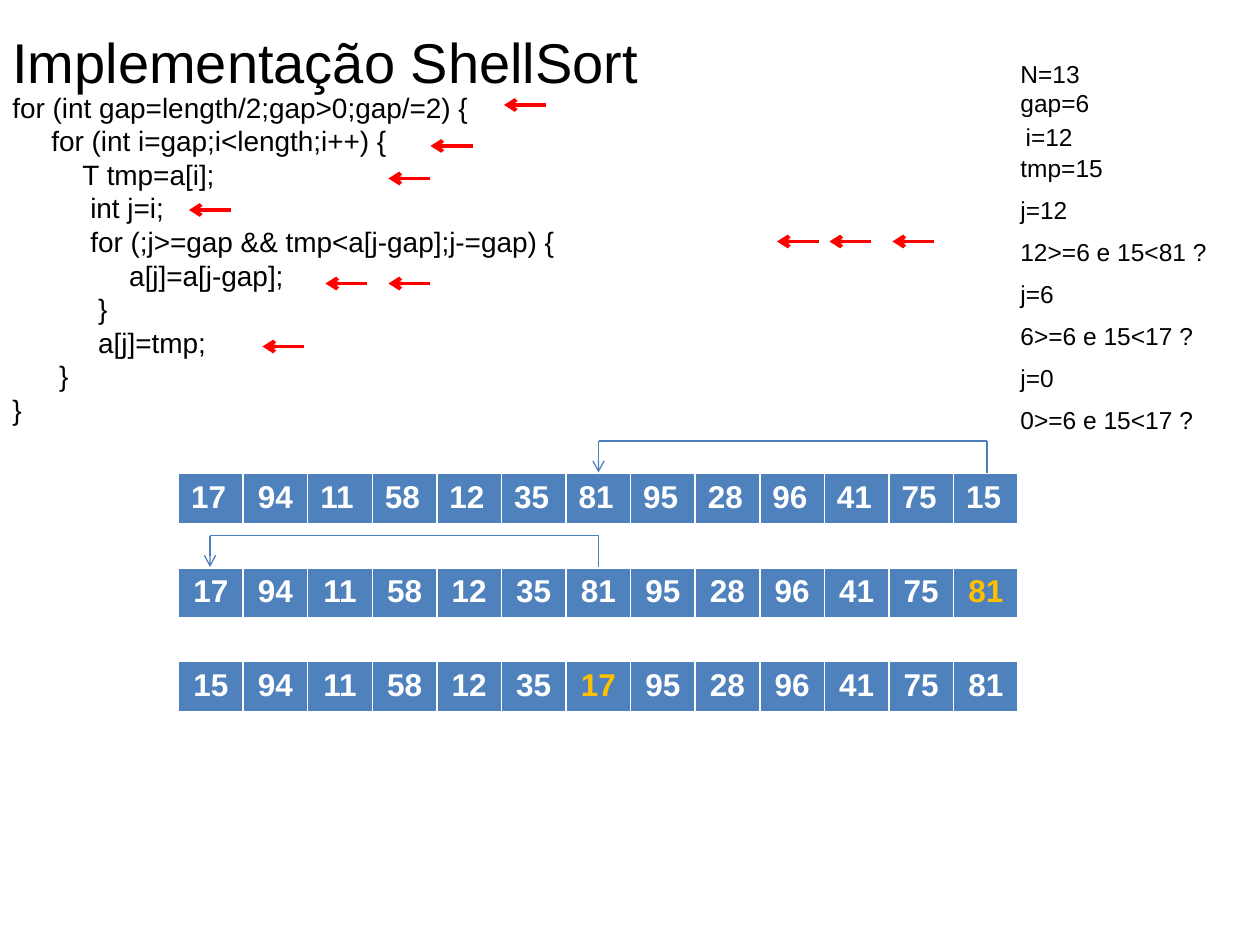
from dataclasses import dataclass

from lxml import etree
from pptx import Presentation
from pptx.dml.color import RGBColor
from pptx.enum.shapes import MSO_CONNECTOR
from pptx.enum.text import MSO_ANCHOR, MSO_AUTO_SIZE, PP_ALIGN
from pptx.oxml.ns import qn
from pptx.util import Inches, Pt

STRAIGHT = MSO_CONNECTOR.STRAIGHT
LEFT, CENTER = PP_ALIGN.LEFT, PP_ALIGN.CENTER
TOP = MSO_ANCHOR.TOP
FIT_SHAPE, FIT_NONE = MSO_AUTO_SIZE.SHAPE_TO_FIT_TEXT, MSO_AUTO_SIZE.NONE
COLUMNS, ROWS = 120, 90
BLANK_LAYOUT = 6


@dataclass(frozen=True)
class Theme:
    font: str = "Arial"
    ink: str = "000000"
    white: str = "FFFFFF"
    cell: str = "4F81BD"
    moved: str = "FFC000"
    pointer: str = "FF0000"
    bracket: str = "4B7EBC"
    title_size: float = 32
    code_size: float = 16
    note_size: float = 14
    cell_size: float = 18
    pointer_width: float = 2.25
    bracket_width: float = 0.75
    code_step: float = 4.45  # points of indent per character


class SlideBuilder:
    """Places elements on a grid of 120 columns by 90 rows."""

    def __init__(self, deck, theme):
        self.theme = theme
        self.page = deck.slides.add_slide(deck.slide_layouts[BLANK_LAYOUT])
        self.column = deck.slide_width / COLUMNS
        self.row = deck.slide_height / ROWS

    def place(self, x, y):
        return round(x * self.column), round(y * self.row)

    def style_runs(self, para, size, color, bold=False):
        for span in para.runs:
            span.font.name = self.theme.font
            span.font.size = Pt(size)
            span.font.bold = bold
            span.font.color.rgb = RGBColor.from_string(color)

    def text(self, x, y, width, height, lines, size, wrap=False):
        """Adds a text box and returns its paragraphs."""
        box = self.page.shapes.add_textbox(*self.place(x, y), *self.place(width, height))
        frame = box.text_frame
        frame.text = "\n".join(lines)
        frame.word_wrap = wrap
        frame.auto_size = FIT_SHAPE if wrap else FIT_NONE
        for para in frame.paragraphs:
            self.style_runs(para, size, self.theme.ink)
        return frame.paragraphs

    def code(self, x, y, width, height, lines):
        """Adds code given as (indent in characters, text) pairs."""
        paras = self.text(x, y, width, height, [line for _, line in lines],
                          self.theme.code_size, wrap=True)
        for para, (indent, _) in zip(paras, lines):
            properties = para._p.get_or_add_pPr()
            properties.set("marL", str(Pt(indent * self.theme.code_step)))
            properties.set("indent", "0")

    def line(self, start, end, color, width, arrow=False, parent=None):
        shapes = (parent or self.page).shapes
        line = shapes.add_connector(STRAIGHT, *self.place(*start), *self.place(*end))
        line.line.color.rgb = RGBColor.from_string(color)
        line.line.width = Pt(width)
        if arrow:
            etree.SubElement(line.line._get_or_add_ln(), qn("a:tailEnd"), type="arrow")
        etree.SubElement(line._element.spPr, qn("a:effectLst"))

    def pointer(self, x, y, length=4):
        self.line((x + length, y), (x, y), self.theme.pointer,
                  self.theme.pointer_width, arrow=True)

    def bracket(self, target, source, y, drop=3):
        """Joins the source cell to the target cell from above."""
        group = self.page.shapes.add_group_shape()
        style = self.theme.bracket, self.theme.bracket_width
        self.line((target, y), (source, y), *style, parent=group)
        self.line((source, y), (source, y + drop), *style, parent=group)
        self.line((target, y), (target, y + drop), *style, arrow=True, parent=group)

    def border(self, cell):
        properties = cell._tc.get_or_add_tcPr()
        sides = (("a:lnL", 1), ("a:lnR", 1), ("a:lnT", 1), ("a:lnB", 3))
        for position, (tag, width) in enumerate(sides):
            edge = etree.Element(qn(tag), w=str(Pt(width)))
            fill = etree.SubElement(edge, qn("a:solidFill"))
            etree.SubElement(fill, qn("a:srgbClr"), val=self.theme.white)
            properties.insert(position, edge)

    def array(self, x, y, width, height, values, centered, moved=None):
        """Adds a one-row table; centered holds the indexes of centred cells."""
        frame = self.page.shapes.add_table(1, len(values), *self.place(x, y),
                                           *self.place(width, height))
        table = frame.table
        table.first_row = table.horz_banding = False
        for index, value in enumerate(values):
            cell = table.cell(0, index)
            cell.text_frame.text = str(value)
            cell.vertical_anchor = TOP
            cell.fill.solid()
            cell.fill.fore_color.rgb = RGBColor.from_string(self.theme.cell)
            self.border(cell)
            para = cell.text_frame.paragraphs[0]
            para.alignment = CENTER if index in centered else LEFT
            color = self.theme.moved if index == moved else self.theme.white
            self.style_runs(para, self.theme.cell_size, color, bold=True)


def main():
    deck = Presentation()
    deck.slide_width, deck.slide_height = Inches(10), Inches(7.5)
    theme = Theme()
    slide = SlideBuilder(deck, theme)

    slide.text(0, 2, 62.5, 7.7, ["Implementação ShellSort"], theme.title_size)
    slide.code(0, 8, 76, 33.5, [
        (0, "for (int gap=length/2;gap>0;gap/=2) {"),
        (5, "for (int i=gap;i<length;i++) {"),
        (9, "T tmp=a[i];"),
        (10, "int j=i;"),
        (10, "for (;j>=gap && tmp<a[j-gap];j-=gap) {"),
        (15, "a[j]=a[j-gap];"),
        (11, "}"),
        (11, "a[j]=tmp;"),
        (6, "}"),
        (0, "}"),
    ])

    slide.text(96, 5, 9, 6.8, ["N=13", "gap=6"], theme.note_size)
    slide.text(96.5, 11, 7, 4, ["i=12"], theme.note_size)
    trace = [("tmp=15", 10.3), ("j=12", 7), ("12>=6 e 15<81 ?", 20.9), ("j=6", 5.6),
             ("6>=6 e 15<17 ?", 19.6), ("j=0", 5.6), ("0>=6 e 15<17 ?", 19.6)]
    for step, (note, width) in enumerate(trace):
        slide.text(96, 14 + 4 * step, width, 4, [note], theme.note_size)

    pointers = {10: [48], 13.9: [41], 17: [37], 20: [18],
                23: [74, 79, 85], 27: [31, 37], 33: [25]}
    for y, tips in pointers.items():
        for x in tips:
            slide.pointer(x, y)

    start = [17, 94, 11, 58, 12, 35, 81, 95, 28, 96, 41, 75, 15]
    shifted = start[:12] + [81]
    placed = [15] + shifted[1:6] + [17] + shifted[7:]
    every = range(len(start))
    arrays = [(45.1, start, [1], None), (54.1, shifted, every, 12), (63, placed, every, 6)]
    for y, values, centered, moved in arrays:
        slide.array(17, y, 80, 4.9, values, centered, moved)

    slide.bracket(57, 94, 42)
    slide.bracket(20, 57, 51)
    deck.save("out.pptx")


if __name__ == "__main__":
    main()
